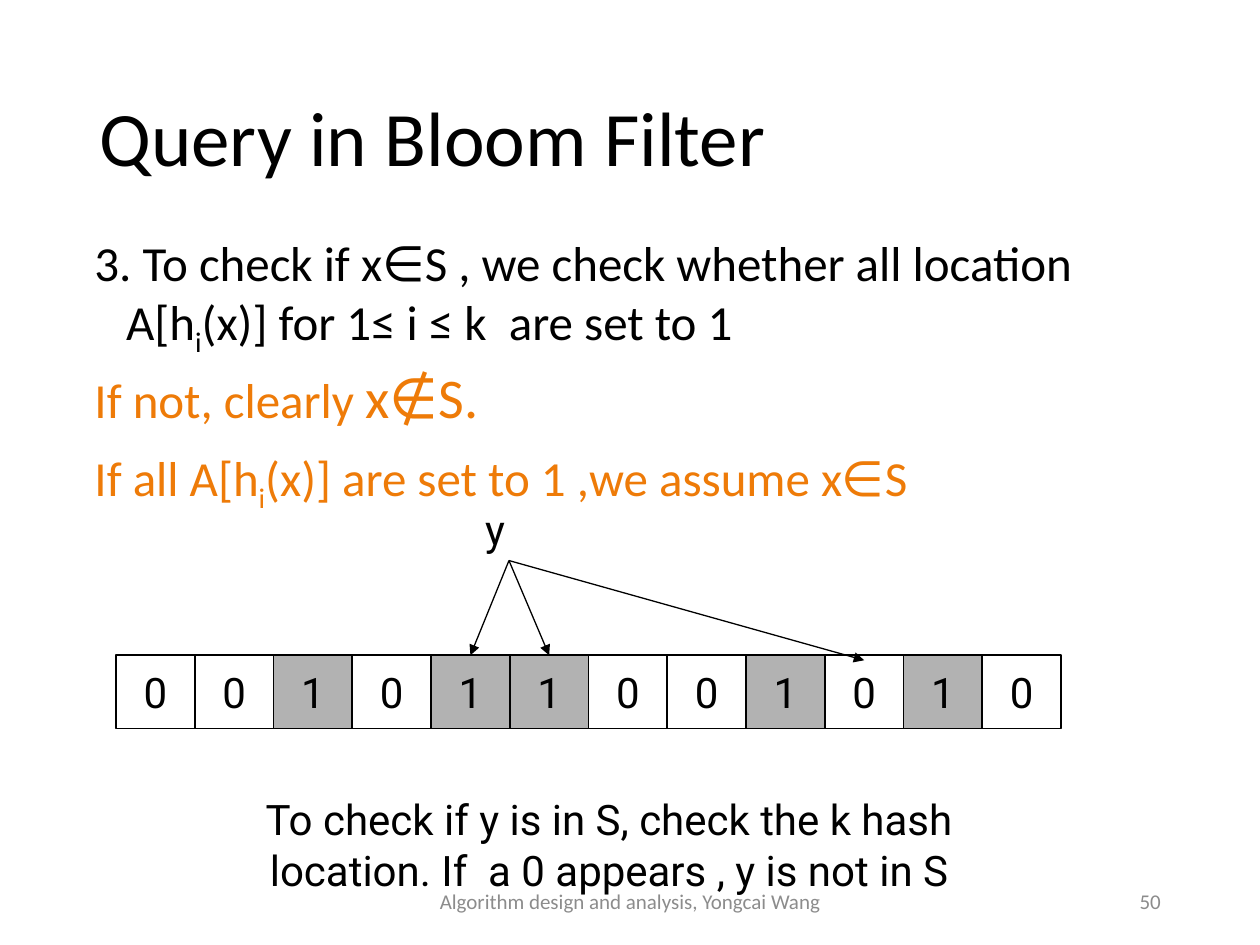
from lxml.etree import SubElement
from pptx import Presentation
from pptx.dml.color import RGBColor
from pptx.enum.shapes import MSO_CONNECTOR as Connector, MSO_SHAPE as Shape
from pptx.enum.text import MSO_ANCHOR as Anchor, MSO_AUTO_SIZE as AutoSize, PP_ALIGN as Align
from pptx.oxml.ns import qn
from pptx.util import Cm, Pt

COLORS = {
    "black": "000000",
    "white": "FFFFFF",
    "set_bit": "B2B2B2",
    "accent": "EE7B08",
    "footer": "8C8C8C",
}
BITS = "001011001010"
ROW_LEFT, ROW_TOP, ROW_WIDTH, ROW_HEIGHT = 2.34, 13.21, 19.05, 1.48
CELL_WIDTH = ROW_WIDTH / len(BITS)
ARROW_START = (10.26, 11.3)
HASH_TARGETS = [(5, ROW_TOP), (4, ROW_TOP), (9, ROW_TOP + 0.1)]
STATEMENTS = [
    ("black", [("3. To check if x∈S , we check whether all location A[h", 28, False),
               ("i", 28, True),
               ("(x)] for 1≤ i ≤ k  are set to 1", 28, False)]),
    ("accent", [("If not, clearly ", 28, False), ("x∉S.", 32, False)]),
    ("accent", [("If all A[h", 28, False),
                ("i", 28, True),
                ("(x)] are set to 1 ,we assume x∈S", 28, False)]),
]


def color(name):
    return RGBColor.from_string(COLORS[name])


def style(font, size, name="Calibri", fill="black"):
    font.size = Pt(size)
    font.name = name
    font.color.rgb = color(fill)


def place(shape, left, top, width, height):
    shape.left, shape.top = Cm(left), Cm(top)
    shape.width, shape.height = Cm(width), Cm(height)


def write(frame, text, size, name, fill="black", align=Align.LEFT):
    frame.text = text
    for para in frame.paragraphs:
        para.alignment = align
        for span in para.runs:
            style(span.font, size, name, fill)


def fill_title(title, text):
    place(title, 1.75, 1.02, 21.9, 3.68)
    frame = title.text_frame
    frame.auto_size = AutoSize.NONE
    frame.vertical_anchor = Anchor.MIDDLE
    write(frame, text, 44, "Calibri")
    frame.paragraphs[0].line_spacing = 0.9


def fill_body(body):
    place(body, 1.65, 4.7, 21.9, 12.09)
    frame = body.text_frame
    frame.auto_size = AutoSize.NONE
    for index, (fill, pieces) in enumerate(STATEMENTS):
        para = frame.add_paragraph() if index else frame.paragraphs[0]
        properties = para._p.get_or_add_pPr()
        properties.set("marL", str(Cm(0.64)))
        properties.set("indent", str(Cm(-0.64)))
        SubElement(properties, qn("a:buNone"))
        para.line_spacing = 0.9
        para.space_before = Pt(10 if index else 0)
        for text, size, subscript in pieces:
            span = para.add_run()
            span.text = text
            style(span.font, size, fill=fill)
            if subscript:
                span._r.get_or_add_rPr().set("baseline", "-25000")


def add_box(page, area, text, fill, line, weight):
    box = page.shapes.add_shape(Shape.RECTANGLE, *map(Cm, area))
    box.shadow.inherit = False
    box.fill.solid()
    box.fill.fore_color.rgb = color(fill)
    box.line.color.rgb = color(line)
    box.line.width = Pt(weight)
    frame = box.text_frame
    frame.word_wrap = False
    frame.vertical_anchor = Anchor.MIDDLE
    write(frame, text, 24, "Roboto", align=Align.CENTER)


def add_label(page, area, text, size, name, fill, align, anchor):
    box = page.shapes.add_textbox(*map(Cm, area))
    frame = box.text_frame
    frame.word_wrap = True
    frame.vertical_anchor = anchor
    write(frame, text, size, name, fill, align)


def add_arrow(page, start, end):
    arrow = page.shapes.add_connector(Connector.STRAIGHT, *map(Cm, start + end))
    arrow.line.color.rgb = color("black")
    arrow.line.width = Pt(0.75)
    SubElement(arrow.line._get_or_add_ln(), qn("a:tailEnd"), type="triangle")
    SubElement(arrow._element.spPr, qn("a:effectLst"))


def add_bit_array(page):
    for index, bit in enumerate(BITS):
        area = (ROW_LEFT + index * CELL_WIDTH, ROW_TOP, CELL_WIDTH, ROW_HEIGHT)
        add_box(page, area, bit, "set_bit" if bit == "1" else "white", "black", 1)


def main():
    deck = Presentation()
    deck.slide_width, deck.slide_height = Cm(25.4), Cm(19.05)
    page = deck.slides.add_slide(deck.slide_layouts[1])
    fill_title(page.shapes.title, "Query in Bloom Filter")
    fill_body(page.placeholders[1])
    add_bit_array(page)
    add_label(page, (9.53, 10.03, 1.47, 1.27), "y", 24, "Roboto", "black", Align.LEFT, Anchor.TOP)
    for index, top in HASH_TARGETS:
        add_arrow(page, ARROW_START, (ROW_LEFT + (index + 0.5) * CELL_WIDTH, top))
    add_box(page, (4.24, 15.52, 16.08, 3),
            "To check if y is in S, check the k hash\nlocation. If  a 0 appears , y is not in S",
            "white", "white", 0.75)
    add_label(page, (8.41, 17.65, 8.59, 1.02), "Algorithm design and analysis, Yongcai Wang",
              12, "Calibri", "footer", Align.CENTER, Anchor.MIDDLE)
    add_label(page, (17.93, 17.65, 5.72, 1.02), "50",
              12, "Calibri", "footer", Align.RIGHT, Anchor.MIDDLE)
    deck.save("out.pptx")


if __name__ == "__main__":
    main()
